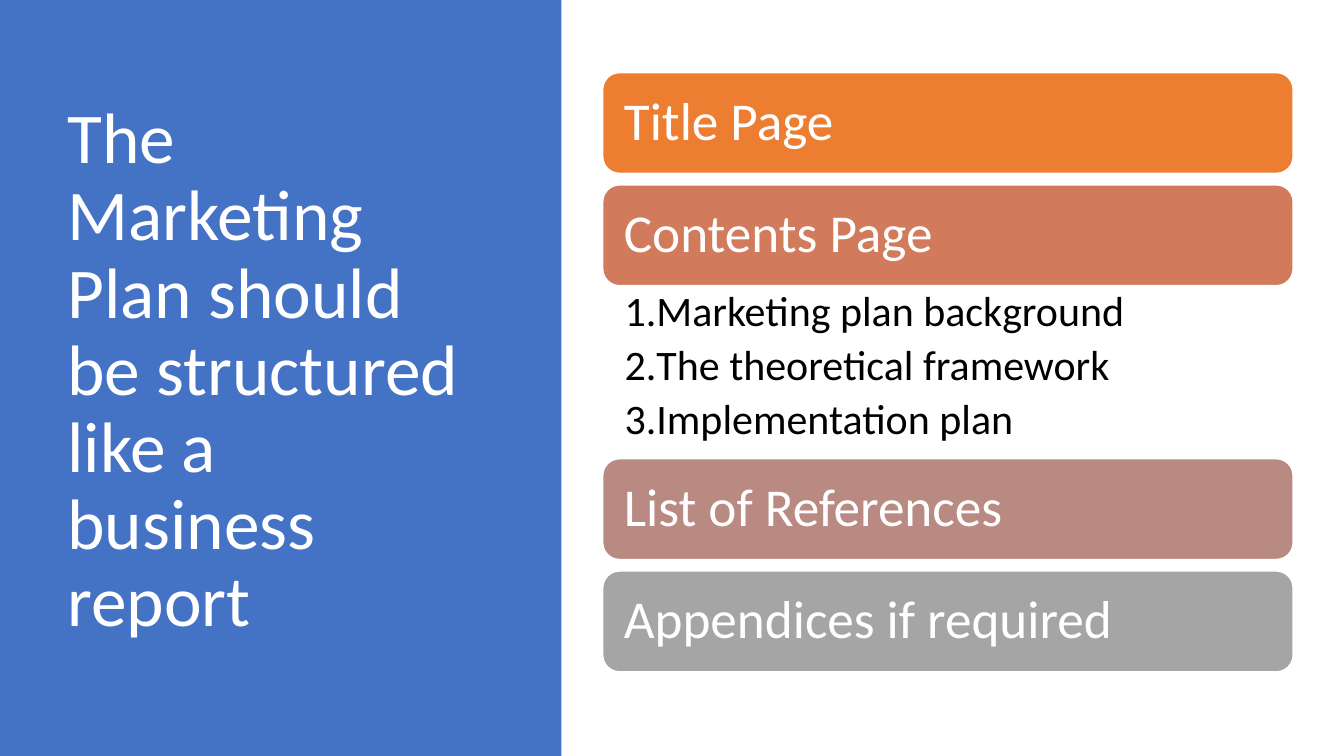
from lxml import etree
from pptx import Presentation
from pptx.dml.color import RGBColor
from pptx.enum import shapes, text
from pptx.oxml.ns import qn
from pptx.util import Cm, Pt

HUES = {
    "panel": "4472C4", "white": "FFFFFF", "black": "000000",
    "orange": "ED7D31", "clay": "D17B5C", "rose": "B98A82", "grey": "A5A5A5",
}
LEFT, WIDTH, HIGH, STEP = 15.19, 17.4, 2.54, 2.83


class Deck:
    """Holds the style and the current slide."""

    def __init__(self, font):
        self.font = font
        self.prs = Presentation()
        self.prs.slide_width, self.prs.slide_height = Cm(33.87), Cm(19.05)
        self.slide = self.prs.slides.add_slide(self.prs.slide_layouts[1])

    def hue(self, name):
        return RGBColor.from_string(HUES[name])

    def place(self, item, left, top, width, height):
        item.left, item.top = Cm(left), Cm(top)
        item.width, item.height = Cm(width), Cm(height)

    def frame(self, item, anchor, pads):
        box = item.text_frame
        box.word_wrap = True
        box.auto_size = text.MSO_AUTO_SIZE.NONE
        box.vertical_anchor = anchor
        box.margin_left, box.margin_top, box.margin_right, box.margin_bottom = map(Cm, pads)
        return box

    def style(self, para, size, hue):
        para.alignment = text.PP_ALIGN.LEFT
        para.line_spacing = 0.9
        para.space_before = Pt(0)
        for run in para.runs:
            run.font.name, run.font.size = self.font, Pt(size)
            run.font.color.rgb = self.hue(hue)

    def block(self, kind, hue, *area):
        item = self.slide.shapes.add_shape(kind, *map(Cm, area))
        item.shadow.inherit = False
        item.fill.solid()
        item.fill.fore_color.rgb = self.hue(hue)
        item.line.fill.background()
        return item

    def panel(self, hue, *area):
        item = self.block(shapes.MSO_SHAPE.RECTANGLE, hue, *area)
        self.slide.shapes.title.element.addprevious(item.element)

    def title(self, words, *area):
        item = self.slide.shapes.title
        self.place(item, *area)
        box = self.frame(item, text.MSO_ANCHOR.MIDDLE, (0.25, 0.13, 0.25, 0.13))
        box.text = words
        self.style(box.paragraphs[0], 51, "white")

    def bar(self, words, hue, top):
        item = self.block(shapes.MSO_SHAPE.ROUNDED_RECTANGLE, hue, LEFT, top, WIDTH, HIGH)
        item.line.color.rgb = self.hue("white")
        item.line.width = Pt(1)
        box = self.frame(item, text.MSO_ANCHOR.MIDDLE, [0.41] * 4)
        box.text = words
        self.style(box.paragraphs[0], 38, "white")

    def steps(self, lines, top, height):
        item = self.slide.placeholders[1]
        self.place(item, LEFT, top, WIDTH, height)
        box = self.frame(item, text.MSO_ANCHOR.TOP, (0.55, 0.13, 0.76, 0.13))
        box.text = "\n".join(lines)
        for para in box.paragraphs:
            props = para._p.get_or_add_pPr()
            props.set("marL", str(Cm(0.79)))
            props.set("indent", str(Cm(-0.79)))
            etree.SubElement(props, qn("a:buFont"), typeface="+mj-lt")
            etree.SubElement(props, qn("a:buAutoNum"), type="arabicPeriod")
            self.style(para, 30, "black")
            para.space_after = Pt(6)


def main():
    deck = Deck("Calibri")
    deck.panel("panel", 0, 0, 14.15, 19.05)
    deck.title("The Marketing Plan should be structured like a business report",
               1.45, 1.73, 10.57, 15.29)
    pairs = [
        (1.83, [("Title Page", "orange"), ("Contents Page", "clay")]),
        (11.56, [("List of References", "rose"), ("Appendices if required", "grey")]),
    ]
    for top, bars in pairs:
        for row, (words, hue) in enumerate(bars):
            deck.bar(words, hue, top + row * STEP)
    deck.steps(["Marketing plan background", "The theoretical framework",
                "Implementation plan"], 7.19, 4.37)
    deck.prs.save("out.pptx")


if __name__ == "__main__":
    main()
